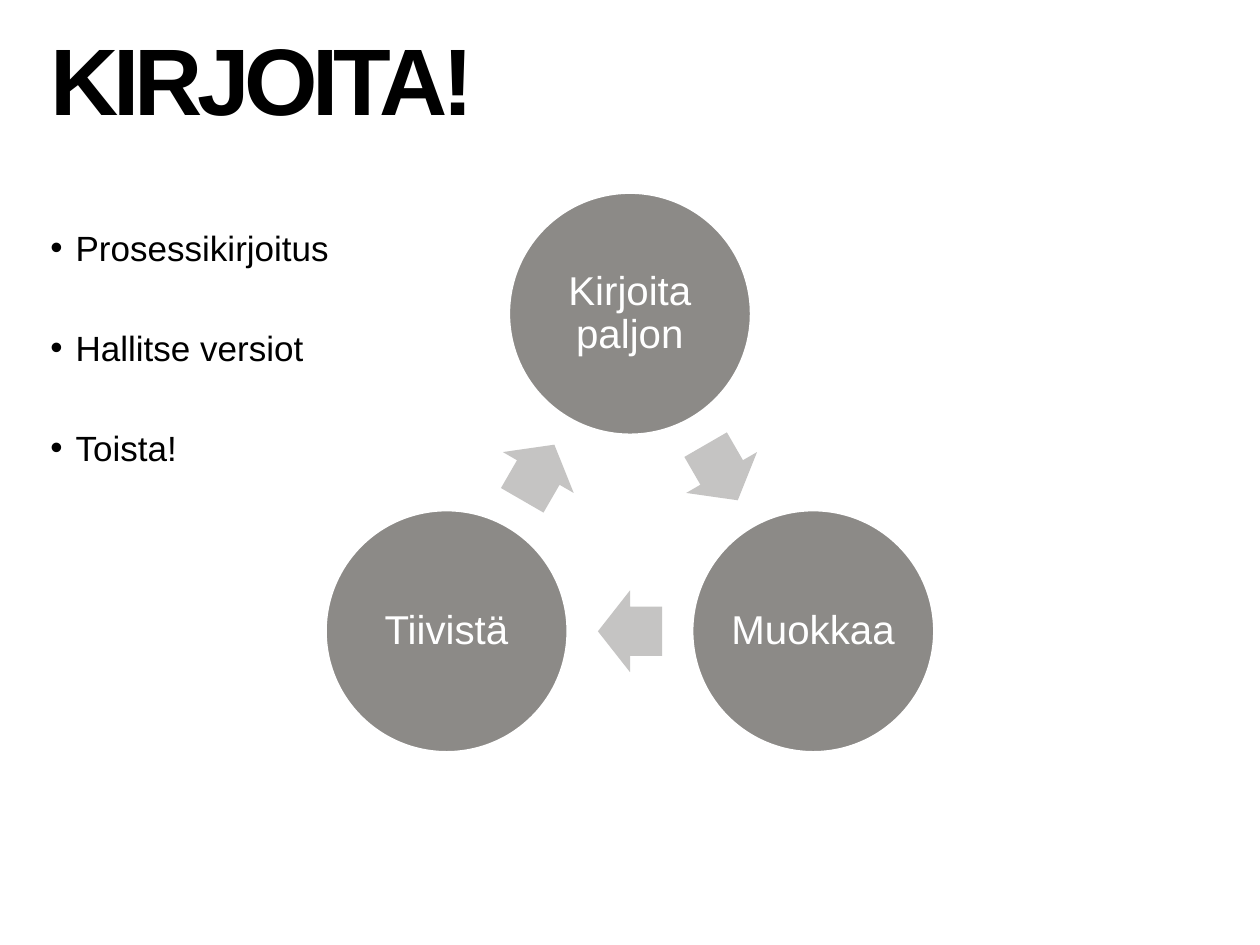
from math import cos, radians, sin

from pptx import Presentation
from pptx.dml.color import RGBColor
from pptx.enum.shapes import MSO_SHAPE as Shape
from pptx.enum.text import MSO_ANCHOR as Anchor, MSO_AUTO_SIZE as AutoSize, PP_ALIGN as Align
from pptx.util import Inches, Pt

TITLE = "KIRJOITA!"
POINTS = ["Prosessikirjoitus", "Hallitse versiot", "Toista!"]
STEPS = ["Kirjoita paljon", "Muokkaa", "Tiivistä"]
BLACK, WHITE, CIRCLE_GREY, ARROW_GREY = "000000", "FFFFFF", "8C8A87", "C5C4C3"
CENTER_X, CENTER_Y, RADIUS = 5, 4.17, 1.68
DIAMETER = 1.93
ARROW_WIDTH, ARROW_HEIGHT = 0.51, 0.65


def color(hex_code):
    return RGBColor.from_string(hex_code)


def style(para, size, hex_code, bold=False):
    for span in para.runs:
        span.font.name = "Arial"
        span.font.size = Pt(size)
        span.font.bold = bold
        span.font.color.rgb = color(hex_code)


def place(box, left, top, width, height):
    box.left, box.top, box.width, box.height = map(Inches, (left, top, width, height))
    frame = box.text_frame
    frame.auto_size = AutoSize.NONE
    frame.vertical_anchor = Anchor.TOP
    return frame


def add_centered(group, kind, angle, distance, width, height, fill):
    x = CENTER_X + distance * sin(radians(angle))
    y = CENTER_Y - distance * cos(radians(angle))
    shape = group.shapes.add_shape(
        kind, Inches(x - width / 2), Inches(y - height / 2), Inches(width), Inches(height))
    shape.shadow.inherit = False
    shape.fill.solid()
    shape.fill.fore_color.rgb = color(fill)
    return shape


def add_title(page):
    frame = place(page.shapes.title, 0.3, 0.4, 9.37, 1.37)
    frame.text = TITLE
    para = frame.paragraphs[0]
    para.alignment = Align.LEFT
    para.line_spacing = 0.65
    style(para, 54, BLACK, bold=True)
    para.runs[0].font._element.set("spc", "-300")


def add_points(page):
    frame = place(page.placeholders[1], 0.3, 1.75, 9.36, 3.96)
    frame.text = "\n".join(POINTS)
    for index, para in enumerate(frame.paragraphs):
        para.space_before = Pt(33 if index else 4)
        properties = para._p.get_or_add_pPr()
        properties.set("marL", str(Inches(0.2)))
        properties.set("indent", str(Inches(-0.2)))
        style(para, 20, BLACK)


def add_cycle(page):
    group = page.shapes.add_group_shape()
    turn = 360 / len(STEPS)
    for index, step in enumerate(STEPS):
        angle = index * turn
        circle = add_centered(group, Shape.OVAL, angle, RADIUS, DIAMETER, DIAMETER, CIRCLE_GREY)
        circle.line.color.rgb = color(WHITE)
        circle.line.width = Pt(2)
        frame = circle.text_frame
        frame.word_wrap = True
        frame.vertical_anchor = Anchor.MIDDLE
        frame.margin_left = frame.margin_right = Inches(0.02)
        frame.margin_top = frame.margin_bottom = Inches(0.03)
        frame.text = step
        para = frame.paragraphs[0]
        para.alignment = Align.CENTER
        para.line_spacing = 0.9
        style(para, 23, WHITE)

        middle = angle + turn / 2
        arrow = add_centered(group, Shape.RIGHT_ARROW, middle, RADIUS / 2,
                             ARROW_WIDTH, ARROW_HEIGHT, ARROW_GREY)
        arrow.line.fill.background()
        arrow.rotation = middle
        arrow.adjustments[0], arrow.adjustments[1] = 0.6, 0.5


def main():
    """Build the writing cycle slide."""
    deck = Presentation()
    deck.slide_width, deck.slide_height = Inches(10), Inches(7.5)
    page = deck.slides.add_slide(deck.slide_layouts[1])
    add_points(page)
    add_title(page)
    add_cycle(page)
    deck.save("out.pptx")


if __name__ == "__main__":
    main()
